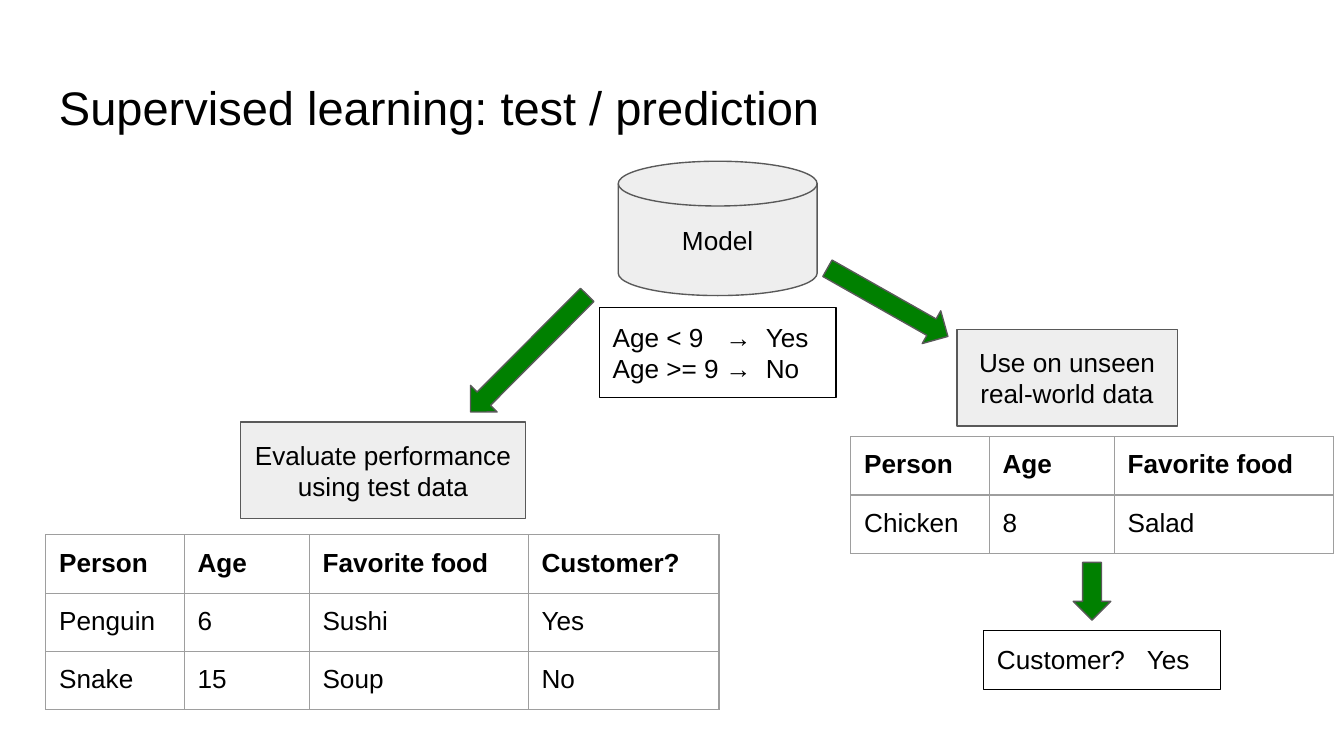
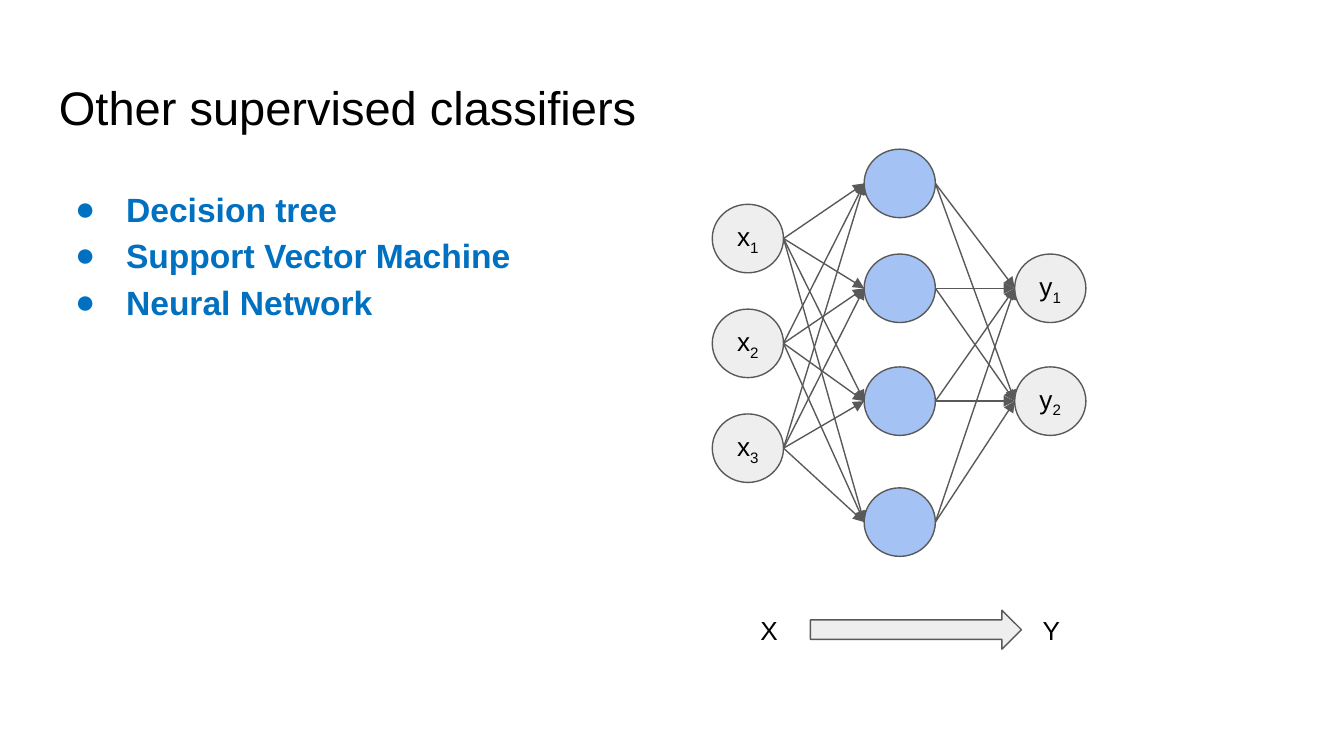
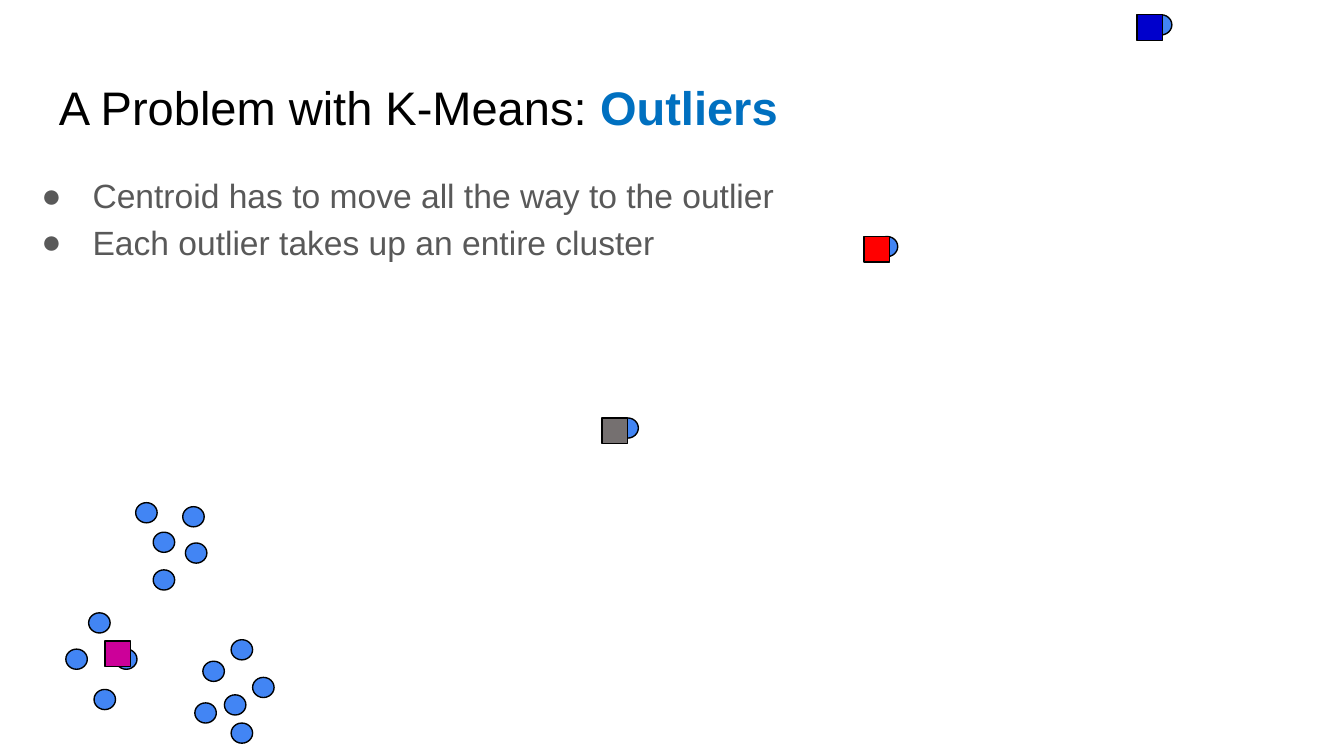
from itertools import product

from lxml import etree
from pptx import Presentation
from pptx import util as u
from pptx.dml.color import RGBColor
from pptx.enum import shapes, text
from pptx.oxml.ns import qn

# The slide is a grid of 100 columns by 56.25 rows.
CELL = u.Inches(0.1)
COLS, ROWS = 100, 56.25
PAD = CELL
FONT = "Arial"

BLACK = RGBColor(0, 0, 0)
GREY = RGBColor(0x59, 0x59, 0x59)
PALE = RGBColor(0xEE, 0xEE, 0xEE)
RULE = RGBColor(0x9E, 0x9E, 0x9E)
GREEN = RGBColor(0, 0x80, 0)
BLUE = RGBColor(0, 0x70, 0xC0)
SKY = RGBColor(0xA4, 0xC2, 0xF4)
DOT = RGBColor(0x42, 0x85, 0xF4)
PINK = RGBColor(0xCC, 0, 0x99)
STONE = RGBColor(0x75, 0x70, 0x70)
RED = RGBColor(0xFF, 0, 0)
NAVY = RGBColor(0, 0, 0xCC)

KIND = shapes.MSO_SHAPE
MID = text.MSO_ANCHOR.MIDDLE
CENTER = text.PP_ALIGN.CENTER


def cells(*nums):
    return [round(n * CELL) for n in nums]


def node(parent, tag, **attrs):
    return etree.SubElement(parent, qn(tag), attrs)


def write(frame, lines, size=14, color=BLACK, bold=False, align=None,
          anchor=text.MSO_ANCHOR.TOP, bullet=False, tabs=()):
    """Fill a frame; a line is a string or a list of (string, format) runs."""
    frame.word_wrap = True
    frame.vertical_anchor = anchor
    frame.margin_left = frame.margin_right = PAD
    frame.margin_top = frame.margin_bottom = PAD
    for i, line in enumerate(lines):
        para = frame.paragraphs[0] if i == 0 else frame.add_paragraph()
        para.alignment = align
        if bullet:
            para.line_spacing = 1.15
            mark(para, color)
        if tabs:
            stops = node(para._p.get_or_add_pPr(), "a:tabLst")
            for pos in cells(*tabs):
                node(stops, "a:tab", pos=str(pos), algn="l")
        for words, form in [(line, {})] if isinstance(line, str) else line:
            run = para.add_run()
            run.text = words
            font = run.font
            font.name, font.size = FONT, u.Pt(size)
            font.bold = form.get("bold", bold)
            font.color.rgb = form.get("color", color)
            if "base" in form:
                run._r.get_or_add_rPr().set("baseline", form["base"])


def mark(para, color):
    """Give a paragraph a round bullet and a hanging indent."""
    props = para._p.get_or_add_pPr()
    props.set("marL", str(u.Inches(0.5)))
    props.set("indent", str(u.Inches(-0.38)))
    node(node(props, "a:buClr"), "a:srgbClr", val=str(color))
    node(props, "a:buFont", typeface=FONT)
    node(props, "a:buChar", char="●")


def label(slide, box, lines, **form):
    write(slide.shapes.add_textbox(*cells(*box)).text_frame, lines, **form)


def shape(slide, kind, box, fill=None, line=GREY, turn=0):
    item = slide.shapes.add_shape(kind, *cells(*box))
    item.shadow.inherit = False
    item.rotation = turn
    if fill is None:
        item.fill.background()
    else:
        item.fill.solid()
        item.fill.fore_color.rgb = fill
    item.line.color.rgb = line
    item.line.width = u.Pt(0.75)
    return item


def step(slide, box, words, kind=KIND.RECTANGLE):
    item = shape(slide, kind, box, PALE)
    write(item.text_frame, [words], align=CENTER, anchor=MID)


def note(slide, box, lines, tabs):
    item = shape(slide, KIND.RECTANGLE, box, line=BLACK)
    write(item.text_frame, lines, align=text.PP_ALIGN.LEFT, tabs=tabs)


def arrow(slide, box, turn=0, fill=GREEN):
    shape(slide, KIND.RIGHT_ARROW, box, fill, turn=turn)


def link(slide, start, end):
    """Draw a thin line with an arrowhead at its end."""
    line = slide.shapes.add_connector(
        shapes.MSO_CONNECTOR.STRAIGHT, *cells(*start, *end))
    line.line.color.rgb = GREY
    line.line.width = u.Pt(0.75)
    props = line.element.spPr
    node(props.find(qn("a:ln")), "a:tailEnd", type="triangle")
    node(props, "a:effectLst")


def edge(cell):
    props = cell._tc.get_or_add_tcPr()
    for side in "LRTB":
        line = node(props, "a:ln" + side, w=str(u.Pt(0.75)))
        node(node(line, "a:solidFill"), "a:srgbClr", val=str(RULE))


def table(slide, left, top, widths, rows, tall=4.2):
    box = cells(left, top, sum(widths), tall * len(rows))
    grid = slide.shapes.add_table(len(rows), len(widths), *box).table
    grid.first_row = grid.horz_banding = False
    for col, wide in zip(grid.columns, cells(*widths)):
        col.width = wide
    for r, row in enumerate(rows):
        grid.rows[r].height = round(tall * CELL)
        for c, words in enumerate(row):
            cell = grid.cell(r, c)
            edge(cell)
            cell.fill.background()
            cell.margin_left = cell.margin_right = PAD
            cell.margin_top = cell.margin_bottom = PAD
            write(cell.text_frame, [words], bold=r == 0)


def page(deck, title):
    slide = deck.slides.add_slide(deck.slide_layouts[6])
    label(slide, (3.4, 4.85, 93.2, 6.3), [title], size=25.2)
    return slide


def predict(deck):
    slide = page(deck, "Supervised learning: test / prediction")
    step(slide, (46, 12, 14.8, 10), "Model", KIND.FLOWCHART_MAGNETIC_DISK)
    note(slide, (44.6, 22.9, 17.6, 6.7),
         ["Age < 9\t→\tYes", "Age >= 9\t→\tNo"], (8.4, 11.4))
    head = ["Person", "Age", "Favorite food", "Customer?"]
    widths = [10.3, 9.3, 16.3, 14.2]
    table(slide, 3.4, 39.8, widths,
          [head, ["Penguin", "6", "Sushi", "Yes"],
           ["Snake", "15", "Soup", "No"]])
    step(slide, (17.9, 31.4, 21.2, 7.2),
         "Evaluate performance using test data")
    arrow(slide, (33.2, 24.9, 12.3, 2.8), 134.9)
    arrow(slide, (60.9, 21.1, 10.3, 2.8), 29.5)
    step(slide, (71.2, 24.5, 16.4, 7.2), "Use on unseen real-world data")
    table(slide, 63.3, 32.5, widths[:3],
          [head[:3], ["Chicken", "8", "Salad"]])
    arrow(slide, (79.1, 42.6, 4.3, 2.8), 90)
    note(slide, (73.2, 46.9, 17.6, 4.4), ["Customer?\tYes"], (11.15,))


def layer(slide, left, tops, fill, name=""):
    """Draw a column of nodes and return their left and right ends."""
    wide, tall = 5.3, 5.1
    for i, top in enumerate(tops, 1):
        item = shape(slide, KIND.OVAL, (left, top, wide, tall), fill)
        if name:
            write(item.text_frame, [[(name, {}), (str(i), {"base": "-25000"})]],
                  align=CENTER, anchor=MID)
    mids = [top + tall / 2 for top in tops]
    return [(left, y) for y in mids], [(left + wide, y) for y in mids]


def network(deck):
    slide = page(deck, "Other supervised classifiers")
    label(slide, (3.4, 12.6, 36.6, 41.4),
          ["Decision tree", "Support Vector Machine", "Neural Network"],
          size=18, color=BLUE, bold=True, bullet=True)
    layers = [layer(slide, 53, (15.2, 23, 30.8), PALE, "x"),
              layer(slide, 64.3, (11.1, 18.9, 27.3, 36.3), SKY),
              layer(slide, 75.5, (18.9, 27.3), PALE, "y")]
    for (_, starts), (ends, _) in zip(layers, layers[1:]):
        for start, end in product(starts, ends):
            link(slide, start, end)
    arrow(slide, (60.3, 45.4, 15.7, 2.9), fill=PALE)
    for left, words in ((55.6, "X"), (76.6, "Y")):
        label(slide, (left, 44.7, 3.1, 4.4), [words])


def dot(slide, left, top):
    shape(slide, KIND.OVAL, (left, top, 1.6, 1.5), DOT, BLACK)


def outliers(deck):
    slide = page(deck, [("A Problem with K-Means: ", {}),
                        ("Outliers", {"color": BLUE, "bold": True})])
    points = [
        (6.6, 45.6), (4.9, 48.3), (8.6, 48.3), (7, 51.3),
        (11.4, 39.6), (11.4, 42.4), (13.8, 40.4), (13.6, 37.7), (10.1, 37.4),
        (14.5, 52.3), (16.7, 51.7), (15.1, 49.2), (17.2, 47.6),
        (18.8, 50.4), (17.2, 53.8),
        (45.9, 31.1), (65.2, 17.6), (85.6, 1.1),
    ]
    for point in points:
        dot(slide, *point)
    centers = [(7.8, 47.7, PINK), (44.8, 31.1, STONE),
               (64.3, 17.6, RED), (84.6, 1.1, NAVY)]
    for left, top, fill in centers:
        shape(slide, KIND.RECTANGLE, (left, top, 1.9, 1.9), fill, BLACK)
    label(slide, (0.9, 11.6, 60.2, 8.7),
          ["Centroid has to move all the way to the outlier",
           "Each outlier takes up an entire cluster"],
          size=18, color=GREY, bullet=True)


def main():
    deck = Presentation()
    deck.slide_width, deck.slide_height = cells(COLS, ROWS)
    predict(deck)
    network(deck)
    outliers(deck)
    deck.save("out.pptx")


if __name__ == "__main__":
    main()
